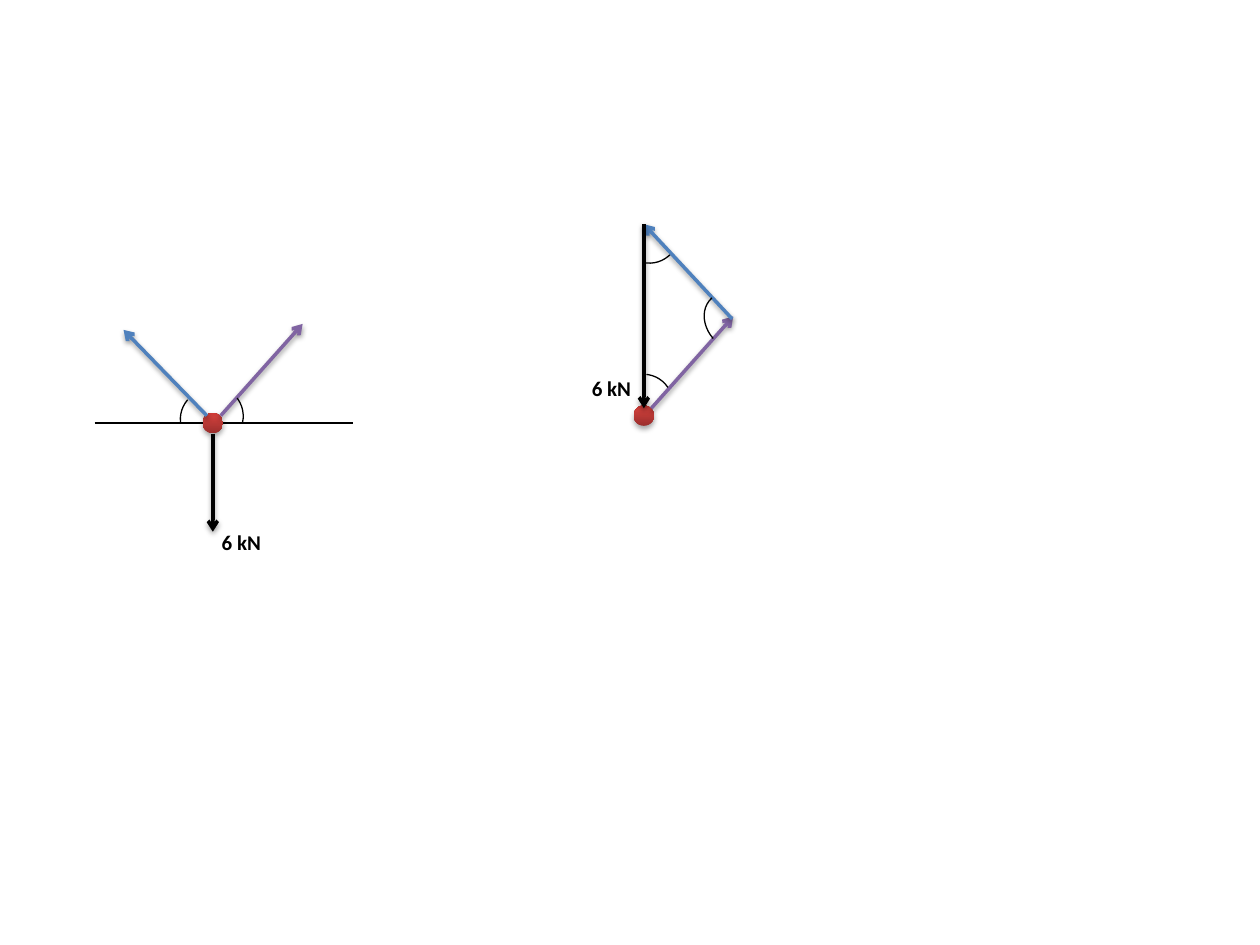
import pptx
import pptx.util
import pptx.dml.color
import pptx.oxml
import pptx.oxml.ns
import pptx.enum.shapes
import pptx.enum.text

Cm, Pt = pptx.util.Cm, pptx.util.Pt
RGBColor = pptx.dml.color.RGBColor
MSO_SHAPE = pptx.enum.shapes.MSO_SHAPE
qn = pptx.oxml.ns.qn

BLACK = RGBColor(0x00, 0x00, 0x00)
BLUE = RGBColor(0x4F, 0x81, 0xBD)
PURPLE = RGBColor(0x80, 0x64, 0xA2)
BALL_STOPS = [(0, RGBColor(0x9C, 0x2F, 0x2D)),
              (80, RGBColor(0xCB, 0x3E, 0x3A)),
              (100, RGBColor(0xCE, 0x3B, 0x37))]

BALL_SIZE = 0.41
THIN, THICK = 0.75, 2  # line widths in points

# Arc shapes: width and height in cm, then start and end adjustments
SMALL_ARC = (1.19, 1.19, 177.45, 207.63)
WIDE_ARC = (1.4, 1.14, 172.61, 4.27)

# Each joint is placed on the slide; every other point is an offset from its
# joint, in cm. Lines are (start, end, colour); angles are (centre, turn, arc).
FREE_BODY = {
    "joint": (4.29, 8.53),
    "axes": [((-2.38, 0), (2.82, 0), BLACK)],
    "forces": [((0.16, -0.15), (1.81, -2), PURPLE),
               ((-0.12, -0.15), (-1.8, -1.88), BLUE),
               ((0, 0.21), (0, 2.19), BLACK)],
    "angles": [((-0.06, -0.08), 235.4, SMALL_ARC),
               ((0.02, -0.14), 26.5, SMALL_ARC)],
    "label": ("6 kN", (-0.07, 2.02)),
}
FORCE_TRIANGLE = {
    "joint": (12.98, 8.38),
    "axes": [],
    "forces": [((0.15, -0.15), (1.8, -2), PURPLE),
               ((1.78, -1.95), (0, -3.86), BLUE),
               ((0, -3.86), (0, -0.15), BLACK)],
    "angles": [((0.11, -3.67), 110.1, SMALL_ARC),
               ((1.87, -1.89), 217.2, WIDE_ARC),
               ((-0.01, -0.24), 340.4, SMALL_ARC)],
    "label": ("6 kN", (-1.3, -0.94)),
}


def add_xml(parent, tag, **attributes):
    """Append a drawing element to parent and return it."""
    child = pptx.oxml.parse_xml(f"<a:{tag} {pptx.oxml.ns.nsdecls('a')}/>")
    for name, value in attributes.items():
        child.set(name, str(value))
    parent.append(child)
    return child


def add_color(parent, color):
    return add_xml(parent, "srgbClr", val=color)


def add_shadow(sp, distance, opacity):
    effects = add_xml(sp._element.spPr, "effectLst")
    shadow = add_xml(effects, "outerShdw", blurRad=Pt(3.1), dist=Pt(distance),
                     dir=90 * 60000, rotWithShape=0)
    add_xml(add_color(shadow, BLACK), "alpha", val=opacity * 1000)


def add_line(shapes, start, end, color, width):
    line = shapes.add_connector(pptx.enum.shapes.MSO_CONNECTOR.STRAIGHT,
                                *(Cm(v) for v in start + end))
    line.line.color.rgb = color
    line.line.width = Pt(width)
    return line


def add_axis(shapes, start, end, color):
    line = add_line(shapes, start, end, color, THIN)
    add_xml(line._element.spPr, "effectLst")


def add_force(shapes, start, end, color):
    line = add_line(shapes, start, end, color, THICK)
    add_xml(line._element.spPr.find(qn("a:ln")), "tailEnd", type="arrow")
    add_shadow(line, distance=1.6, opacity=38)


def add_centred(shapes, kind, centre, width, height):
    x, y = centre
    return shapes.add_shape(kind, Cm(x - width / 2), Cm(y - height / 2),
                            Cm(width), Cm(height))


def add_ball(shapes, centre):
    sp = add_centred(shapes, MSO_SHAPE.OVAL, centre, BALL_SIZE, BALL_SIZE)
    spPr = sp._element.spPr
    gradient = add_xml(spPr, "gradFill", rotWithShape=1)
    stops = add_xml(gradient, "gsLst")
    for percent, color in BALL_STOPS:
        add_color(add_xml(stops, "gs", pos=percent * 1000), color)
    add_xml(gradient, "lin", ang=270 * 60000, scaled=0)
    sp.line.fill.background()
    add_shadow(sp, distance=1.8, opacity=35)


def add_angle(shapes, centre, turn, arc):
    width, height, start, end = arc
    sp = add_centred(shapes, MSO_SHAPE.ARC, centre, width, height)
    sp.adjustments[0], sp.adjustments[1] = start, end
    sp.rotation = turn
    sp.fill.background()
    sp.line.color.rgb = BLACK
    sp.line.width = Pt(THIN)
    sp.shadow.inherit = False


def add_text(shapes, text, corner, width=2.97, height=0.76, size=12,
             font="Calibri", color=BLACK, bold=True):
    x, y = corner
    tf = shapes.add_textbox(Cm(x), Cm(y), Cm(width), Cm(height)).text_frame
    tf.word_wrap = True
    tf.auto_size = pptx.enum.text.MSO_AUTO_SIZE.SHAPE_TO_FIT_TEXT
    r = tf.paragraphs[0].add_run()
    r.text = text
    r.font.size, r.font.name, r.font.bold = Pt(size), font, bold
    r.font.color.rgb = color


def add_diagram(s, diagram):
    shapes = s.shapes.add_group_shape().shapes
    joint_x, joint_y = diagram["joint"]

    def place(offset):
        return joint_x + offset[0], joint_y + offset[1]

    for start, end, color in diagram["axes"]:
        add_axis(shapes, place(start), place(end), color)
    add_ball(shapes, diagram["joint"])
    for start, end, color in diagram["forces"]:
        add_force(shapes, place(start), place(end), color)
    for centre, turn, arc in diagram["angles"]:
        add_angle(shapes, place(centre), turn, arc)
    text, corner = diagram["label"]
    add_text(shapes, text, place(corner))


def main():
    prs = pptx.Presentation()
    prs.slide_width, prs.slide_height = Cm(25.4), Cm(19.05)
    s = prs.slides.add_slide(prs.slide_layouts[6])
    for diagram in (FREE_BODY, FORCE_TRIANGLE):
        add_diagram(s, diagram)
    prs.save("out.pptx")


if __name__ == "__main__":
    main()
